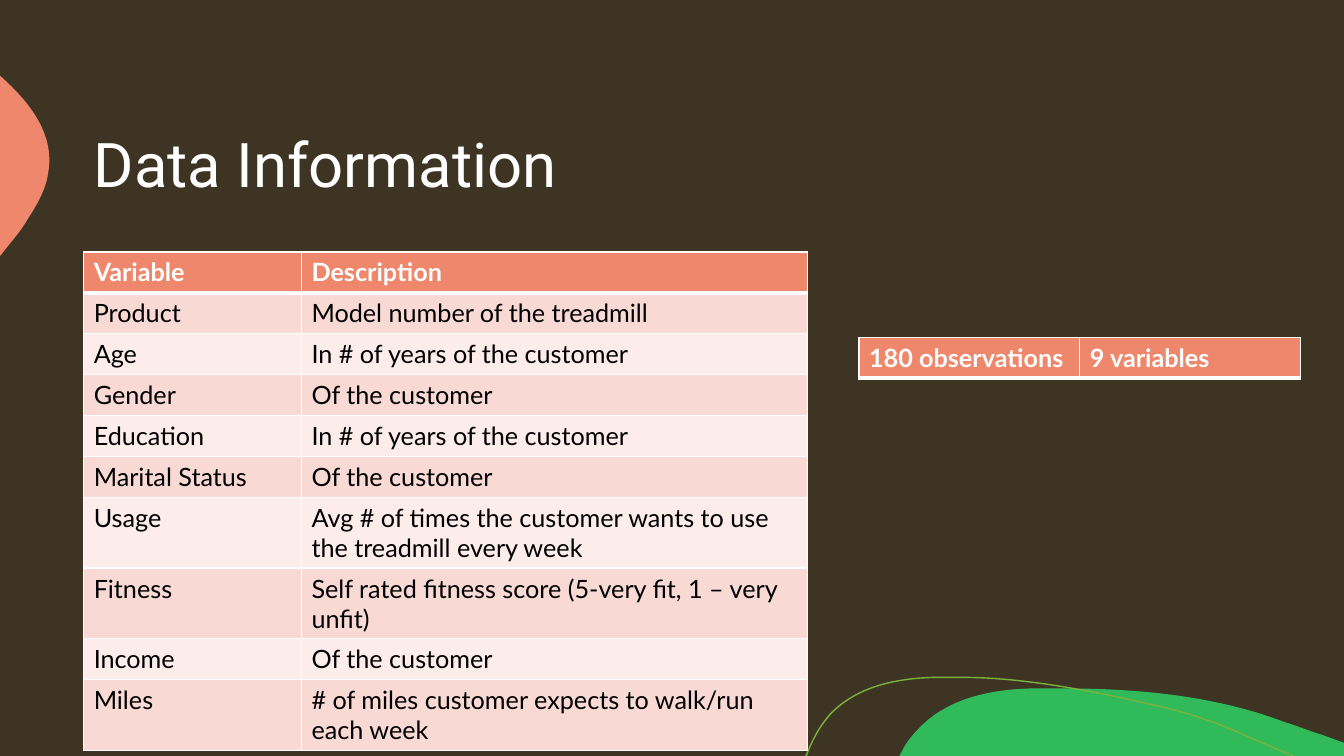
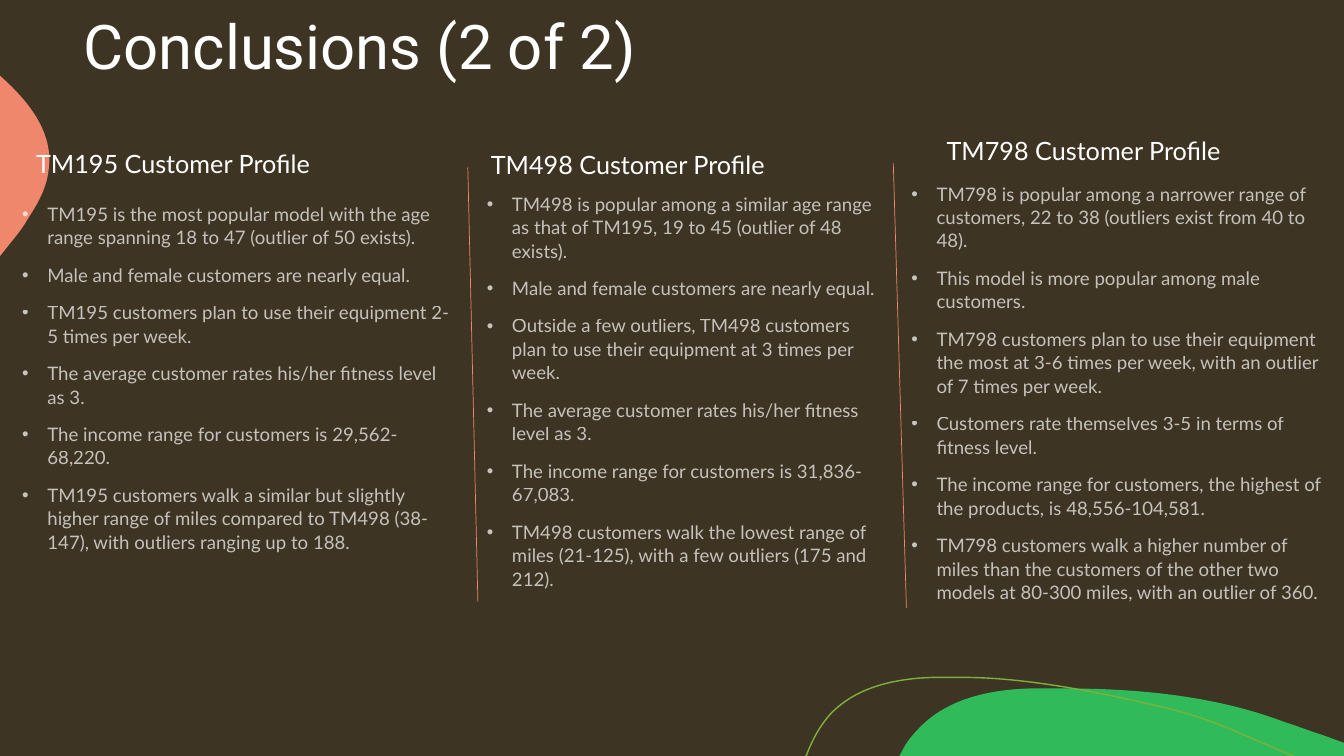
"""Build the data information and conclusions slides of a treadmill customer study."""
from dataclasses import dataclass

import lxml.etree
import pptx
import pptx.dml.color
import pptx.enum.shapes
import pptx.enum.text
import pptx.oxml.ns
import pptx.util

Inches = pptx.util.Inches
Pt = pptx.util.Pt
qn = pptx.oxml.ns.qn

COLORS = {
    "back": "3E3423",
    "coral": "EE876B",
    "green": "30BA59",
    "lime": "7BB23B",
    "band_dark": "F8D9D4",
    "band_light": "FCEDEB",
    "white": "FFFFFF",
    "black": "000000",
}
TITLE_FONT = "Roboto"
BODY_FONT = "Lato"


@dataclass
class Blob:
    start: tuple[float, float]
    segments: list[tuple[float, ...]]
    fill: str | None = None
    line: str | None = None


@dataclass
class Profile:
    model: str
    heading: tuple[float, float, float, float]
    box: tuple[float, float, float, float]
    points: list[str]


@dataclass
class Divider:
    start: tuple[float, float]
    end: tuple[float, float]


BLOBS = [
    Blob((10.54, 6.83), [
        (11.28, 6.83, 12.04, 6.9, 12.73, 7.16),
        (12.86, 7.2, 12.98, 7.25, 13.11, 7.29),
        (13.33, 7.37), (13.33, 7.5), (8.92, 7.5), (8.98, 7.39),
        (9.02, 7.33, 9.06, 7.28, 9.11, 7.23),
        (9.39, 6.93, 9.82, 6.84, 10.23, 6.83),
        (10.33, 6.83, 10.43, 6.83, 10.54, 6.83),
    ], fill="green"),
    Blob((0, 0.75), [
        (0.01, 0.76),
        (0.3, 1.02, 0.54, 1.33, 0.48, 1.7),
        (0.46, 1.87, 0.37, 2.03, 0.27, 2.18),
        (0.24, 2.24, 0.17, 2.33, 0.08, 2.44),
        (0, 2.54),
    ], fill="coral"),
    Blob((7.99, 7.5), [
        (8, 7.49),
        (8.06, 7.33, 8.14, 7.19, 8.24, 7.08),
        (8.5, 6.81, 8.89, 6.73, 9.26, 6.72),
        (9.55, 6.72),
        (10.22, 6.72, 11, 6.89, 11.55, 7.02),
        (12.09, 7.15, 12.26, 7.27, 12.83, 7.5),
    ], line="lime"),
]

VARIABLES = [
    ("Variable", "Description"),
    ("Product", "Model number of the treadmill"),
    ("Age", "In # of years of the customer"),
    ("Gender", "Of the customer"),
    ("Education", "In # of years of the customer"),
    ("Marital Status", "Of the customer"),
    ("Usage", "Avg # of times the customer wants to use the treadmill every week"),
    ("Fitness", "Self rated fitness score (5-very fit, 1 – very unfit)"),
    ("Income", "Of the customer"),
    ("Miles", "# of miles customer expects to walk/run each week"),
]

PROFILES = [
    Profile("TM195", (0.26, 1.42, 3.06, 0.4), (0.12, 1.95, 4.5, 4.18), [
        "TM195 is the most popular model with the age range spanning 18 to 47 (outlier of 50 exists).",
        "Male and female customers are nearly equal.",
        "TM195 customers plan to use their equipment 2-5 times per week.",
        "The average customer rates his/her fitness level as 3.",
        "The income range for customers is 29,562-68,220.",
        "TM195 customers walk a similar but slightly higher range of miles compared to TM498 (38-147), "
        "with outliers ranging up to 188.",
    ]),
    Profile("TM498", (4.77, 1.43, 3.06, 0.4), (4.73, 1.85, 4.13, 4.18), [
        "TM498 is popular among a similar age range as that of TM195, 19 to 45 (outlier of 48 exists).",
        "Male and female customers are nearly equal.",
        "Outside a few outliers, TM498 customers plan to use their equipment at 3 times per week.",
        "The average customer rates his/her fitness level as 3.",
        "The income range for customers is 31,836-67,083.",
        "TM498 customers walk the lowest range of miles (21-125), with a few outliers (175 and 212).",
    ]),
    Profile("TM798", (9.29, 1.29, 2.99, 0.4), (8.94, 1.75, 4.39, 4.29), [
        "TM798 is popular among a narrower range of customers, 22 to 38 (outliers exist from 40 to 48).",
        "This model is more popular among male customers.",
        "TM798 customers plan to use their equipment the most at 3-6 times per week, "
        "with an outlier of 7 times per week.",
        "Customers rate themselves 3-5 in terms of fitness level.",
        "The income range for customers, the highest of the products, is 48,556-104,581.",
        "TM798 customers walk a higher number of miles than the customers of the other two models "
        "at 80-300 miles, with an outlier of 360.",
    ]),
]

DIVIDERS = [Divider((4.64, 1.66), (4.74, 5.97)), Divider((8.86, 1.62), (8.99, 6.03))]


def rgb(name: str) -> pptx.dml.color.RGBColor:
    return pptx.dml.color.RGBColor.from_string(COLORS[name])


def add_run(p, text: str, size: float, color: str = "white", font: str = BODY_FONT, bold: bool = False):
    r = p.add_run()
    r.text = text
    r.font.name = font
    r.font.size = Pt(size)
    r.font.bold = bold
    r.font.color.rgb = rgb(color)
    return r


def place(sp, box: tuple[float, float, float, float]) -> None:
    sp.left, sp.top, sp.width, sp.height = (Inches(v) for v in box)


def add_blob(s, blob: Blob):
    builder = s.shapes.build_freeform(Inches(blob.start[0]), Inches(blob.start[1]))
    ends = [(Inches(seg[-2]), Inches(seg[-1])) for seg in blob.segments]
    builder.add_line_segments(ends, close=blob.fill is not None)
    sp = builder.convert_to_shape()
    for seg, node in zip(blob.segments, list(sp._element.iter(qn("a:lnTo")))):
        if len(seg) == 6:
            curve = lxml.etree.Element(qn("a:cubicBezTo"))
            for x, y in zip(seg[::2], seg[1::2]):
                lxml.etree.SubElement(curve, qn("a:pt"), x=str(Inches(x) - sp.left), y=str(Inches(y) - sp.top))
            node.getparent().replace(node, curve)
    sp.shadow.inherit = False
    if blob.fill:
        sp.fill.solid()
        sp.fill.fore_color.rgb = rgb(blob.fill)
    else:
        sp.fill.background()
    if blob.line:
        sp.line.color.rgb = rgb(blob.line)
        sp.line.width = Pt(1)
    else:
        sp.line.fill.background()
    return sp


def decorate_master(prs, s) -> None:
    master = prs.slide_master
    master.background.fill.solid()
    master.background.fill.fore_color.rgb = rgb("back")
    for i, blob in enumerate(BLOBS):
        sp = add_blob(s, blob)
        sp._element.nvSpPr.cNvPr.id = 20 + i
        master.shapes._spTree.insert(2 + i, sp._element)


def set_title(s, text: str, box: tuple[float, float, float, float]) -> None:
    place(s.shapes.title, box)
    tf = s.shapes.title.text_frame
    tf.auto_size = pptx.enum.text.MSO_AUTO_SIZE.NONE
    tf.vertical_anchor = pptx.enum.text.MSO_ANCHOR.MIDDLE
    p = tf.paragraphs[0]
    p.alignment = pptx.enum.text.PP_ALIGN.LEFT
    p.line_spacing = 0.9
    add_run(p, text, 44, font=TITLE_FONT)


def set_borders(cell, top: float, bottom: float) -> None:
    tcPr = cell._tc.get_or_add_tcPr()
    for side, width in (("L", 1), ("R", 1), ("T", top), ("B", bottom)):
        ln = lxml.etree.SubElement(tcPr, qn(f"a:ln{side}"), w=str(Pt(width)))
        fill = lxml.etree.SubElement(ln, qn("a:solidFill"))
        lxml.etree.SubElement(fill, qn("a:srgbClr"), val=COLORS["white"])


def add_table(s, at: tuple[float, float], widths: list[float], height: float,
              rows: list[tuple[str, ...]]) -> None:
    size = sum(widths), height
    frame = s.shapes.add_table(len(rows), len(widths), *(Inches(v) for v in at + size))
    table = frame.table
    for column, width in zip(table.columns, widths):
        column.width = Inches(width)
    for i, row in enumerate(rows):
        header = i == 0
        fill = "coral" if header else "band_dark" if i % 2 else "band_light"
        for j, text in enumerate(row):
            cell = table.cell(i, j)
            set_borders(cell, 3 if i == 1 else 1, 3 if header else 1)
            cell.fill.solid()
            cell.fill.fore_color.rgb = rgb(fill)
            add_run(cell.text_frame.paragraphs[0], text, 18, "white" if header else "black", bold=header)


def fill_list(tf, points: list[str]) -> None:
    tf.word_wrap = True
    tf.auto_size = pptx.enum.text.MSO_AUTO_SIZE.NONE
    for i, text in enumerate(points):
        p = tf.add_paragraph() if i else tf.paragraphs[0]
        pPr = p._p.get_or_add_pPr()
        pPr.set("marL", str(Inches(0.25)))
        pPr.set("indent", str(Inches(-0.25)))
        lxml.etree.SubElement(pPr, qn("a:buFont"), typeface="Arial")
        lxml.etree.SubElement(pPr, qn("a:buChar"), char="•")
        p.line_spacing = 1.05
        p.space_before = Pt(10 if i else 0)
        r = add_run(p, text, 13.3)
        color = r._r.get_or_add_rPr().find(f".//{qn('a:srgbClr')}")
        lxml.etree.SubElement(color, qn("a:alpha"), val="70000")


def add_heading(s, profile: Profile) -> None:
    sp = s.shapes.add_textbox(*(Inches(v) for v in profile.heading))
    tf = sp.text_frame
    tf.word_wrap = False
    tf.auto_size = pptx.enum.text.MSO_AUTO_SIZE.SHAPE_TO_FIT_TEXT
    add_run(tf.paragraphs[0], f"{profile.model} Customer Profile", 18)


def add_divider(s, divider: Divider) -> None:
    ends = (Inches(v) for v in divider.start + divider.end)
    line = s.shapes.add_connector(pptx.enum.shapes.MSO_CONNECTOR.STRAIGHT, *ends)
    line.line.color.rgb = rgb("coral")
    line.line.width = Pt(0.5)
    lxml.etree.SubElement(line._element.spPr, qn("a:effectLst"))


def build_data_slide(s) -> None:
    set_title(s, "Data Information", (0.83, 0.83, 11.67, 1.67))
    add_table(s, (0.83, 2.5), [2.16, 5.02], 4.06, VARIABLES)
    add_table(s, (8.52, 3.35), [2.19, 2.19], 0.39, [("180 observations", "9 variables")])


def build_conclusions_slide(s) -> None:
    set_title(s, "Conclusions (2 of 2)", (0.73, 0, 11.67, 0.98))
    for i, profile in enumerate(PROFILES):
        sp = s.shapes.add_textbox(0, 0, 0, 0) if i else s.placeholders[1]
        place(sp, profile.box)
        fill_list(sp.text_frame, profile.points)
        add_heading(s, profile)
    for divider in DIVIDERS:
        add_divider(s, divider)


def main() -> None:
    prs = pptx.Presentation()
    prs.slide_width, prs.slide_height = Inches(13.33), Inches(7.5)
    s = prs.slides.add_slide(prs.slide_layouts[5])
    decorate_master(prs, s)
    build_data_slide(s)
    build_conclusions_slide(prs.slides.add_slide(prs.slide_layouts[1]))
    prs.save("out.pptx")


if __name__ == "__main__":
    main()
